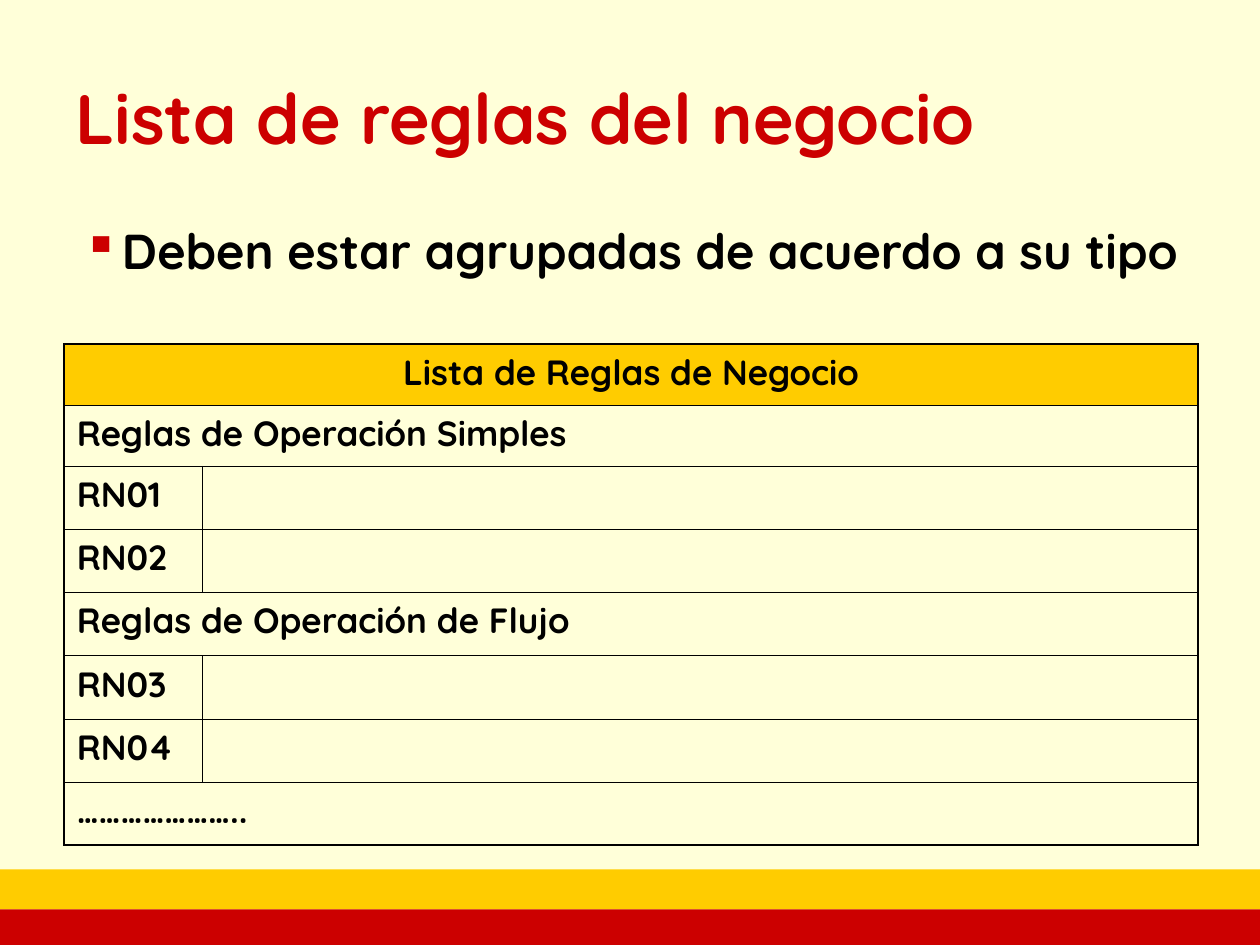
from dataclasses import dataclass

from lxml.etree import SubElement
from pptx import Presentation
from pptx.dml.color import RGBColor as Rgb
from pptx.enum.shapes import MSO_SHAPE as Shape
from pptx.enum.text import MSO_ANCHOR as Anchor, PP_ALIGN as Align
from pptx.oxml import parse_xml
from pptx.oxml.ns import nsdecls, qn
from pptx.util import Inches, Pt


@dataclass(frozen=True)
class Theme:
    """Colours, font and type sizes of the slide."""
    cream: str = "FFFFD9"
    red: str = "CC0000"
    gold: str = "FFCC00"
    black: str = "000000"
    font: str = "Quicksand"
    title_size: int = 40
    body_size: int = 28
    cell_size: int = 20
    outer_line: float = 1.08
    inner_line: float = 0.45


THEME = Theme()
WIDTH, HEIGHT = 10, 7.5
NO_STYLE = "{2D5ABB26-0587-4C30-8999-92F81FD0307C}"
HEADING = "Lista de Reglas de Negocio"
RULE_ROWS = [
    HEADING,
    "Reglas de Operación Simples",
    "RN01",
    "RN02",
    "Reglas de Operación de Flujo",
    "RN03",
    "RN04",
    "…………………..",
]


def write(frame, text, size, color=THEME.black, align=Align.LEFT,
          anchor=Anchor.TOP, spacing=None, bullet=None):
    """Write one formatted paragraph into a text frame."""
    frame.word_wrap = True
    frame.vertical_anchor = anchor
    paragraph = frame.paragraphs[0]
    paragraph.text = text
    paragraph.alignment = align
    if spacing:
        paragraph.line_spacing = spacing
    if bullet:
        props = paragraph._p.get_or_add_pPr()
        props.set("marL", str(Inches(0.31)))
        props.set("indent", str(-Inches(0.31)))
        bullet_color = SubElement(props, qn("a:buClr"))
        SubElement(bullet_color, qn("a:srgbClr"), val=THEME.red)
        SubElement(props, qn("a:buChar"), char=bullet)
    font = paragraph.runs[0].font
    font.name, font.size, font.bold = THEME.font, Pt(size), True
    font.color.rgb = Rgb.from_string(color)


def add_text(slide, box, text, **style):
    """Place a text box with one paragraph."""
    area = slide.shapes.add_textbox(*map(Inches, box))
    write(area.text_frame, text, **style)


def add_footer(slide, box):
    """Stack the gold and red bands inside the box."""
    left, top, width, height = box
    gold_height = height * 0.53
    bands = [(THEME.gold, top, gold_height),
             (THEME.red, top + gold_height, height - gold_height)]
    for color, band_top, band_height in bands:
        band = slide.shapes.add_shape(
            Shape.RECTANGLE, *map(Inches, (left, band_top, width, band_height)))
        band.shadow.inherit = False
        band.fill.solid()
        band.fill.fore_color.rgb = Rgb.from_string(color)
        band.line.fill.background()


def set_borders(cell, widths):
    """Draw the given cell sides, listed in left, right, top, bottom order."""
    props = cell._tc.get_or_add_tcPr()
    for index, (side, width) in enumerate(widths.items()):
        props.insert(index, parse_xml(
            f'<a:ln{side} {nsdecls("a")} w="{Pt(width)}"><a:solidFill>'
            f'<a:srgbClr val="{THEME.black}"/></a:solidFill></a:ln{side}>'))


def add_rules(slide, box):
    """Build the rules table: codes get two columns, other rows span both."""
    left, top, width, height = box
    last = len(RULE_ROWS) - 1
    rules = slide.shapes.add_table(
        len(RULE_ROWS), 2, *map(Inches, (left, top, width, height))).table
    rules._tbl.tblPr.find(qn("a:tableStyleId")).text = NO_STYLE
    rules.first_row = rules.horz_banding = False
    rules.columns[0].width = Inches(1.1)
    rules.columns[1].width = Inches(width - 1.1)
    for index, label in enumerate(RULE_ROWS):
        rules.rows[index].height = Inches(height * (0.122 if index < 2 else 0.126))
        code, detail = rules.cell(index, 0), rules.cell(index, 1)
        is_code, is_heading = label.startswith("RN"), label == HEADING
        if not is_code:
            code.merge(detail)
        for cell in (code, detail):
            if is_heading:
                cell.fill.solid()
                cell.fill.fore_color.rgb = Rgb.from_string(THEME.gold)
            else:
                cell.fill.background()
        outer, inner = THEME.outer_line, THEME.inner_line
        edges = {"T": outer if index == 0 else inner,
                 "B": outer if index == last else inner}
        middle = inner if is_code else outer
        set_borders(code, {"L": outer, "R": middle, **edges})
        set_borders(detail, {**({"L": inner} if is_code else {}),
                             "R": outer, **edges})
        write(code.text_frame, label, size=THEME.cell_size,
              align=Align.CENTER if is_heading else Align.LEFT)


def build_slide(deck):
    """Compose the business rules slide."""
    slide = deck.slides.add_slide(deck.slide_layouts[6])
    slide.background.fill.solid()
    slide.background.fill.fore_color.rgb = Rgb.from_string(THEME.cream)
    add_footer(slide, (0, HEIGHT * 0.92, WIDTH, HEIGHT * 0.08))
    add_text(slide, (WIDTH * 0.05, HEIGHT * 0.04, WIDTH * 0.9, 1.25),
             "Lista de reglas del negocio", size=THEME.title_size,
             color=THEME.red, anchor=Anchor.MIDDLE)
    add_text(slide, (0.56, 1.75, WIDTH * 0.9, 2.18),
             "Deben estar agrupadas de acuerdo a su tipo",
             size=THEME.body_size, spacing=0.9, bullet="▪")
    add_rules(slide, (0.51, 2.73, WIDTH * 0.9, 3.98))


def main():
    """Create and save the deck."""
    deck = Presentation()
    deck.slide_width, deck.slide_height = Inches(WIDTH), Inches(HEIGHT)
    build_slide(deck)
    deck.save("out.pptx")


if __name__ == "__main__":
    main()
